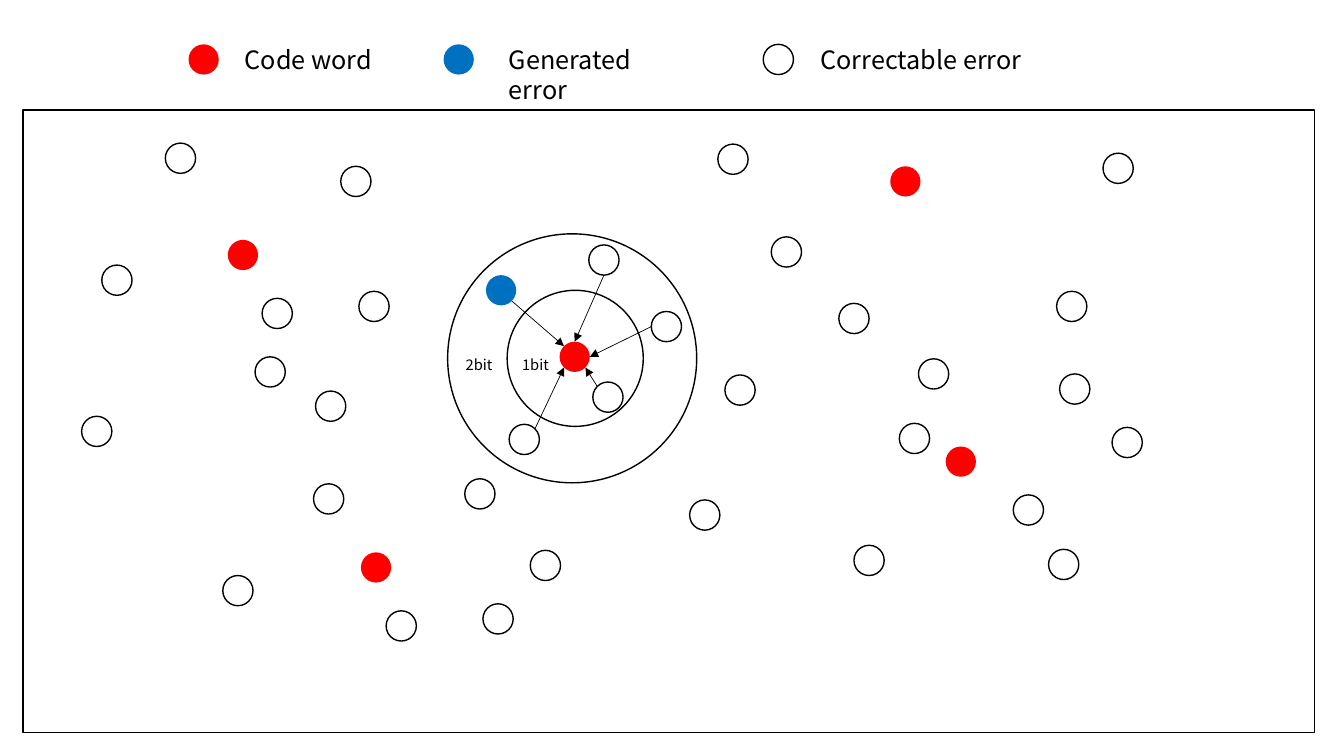
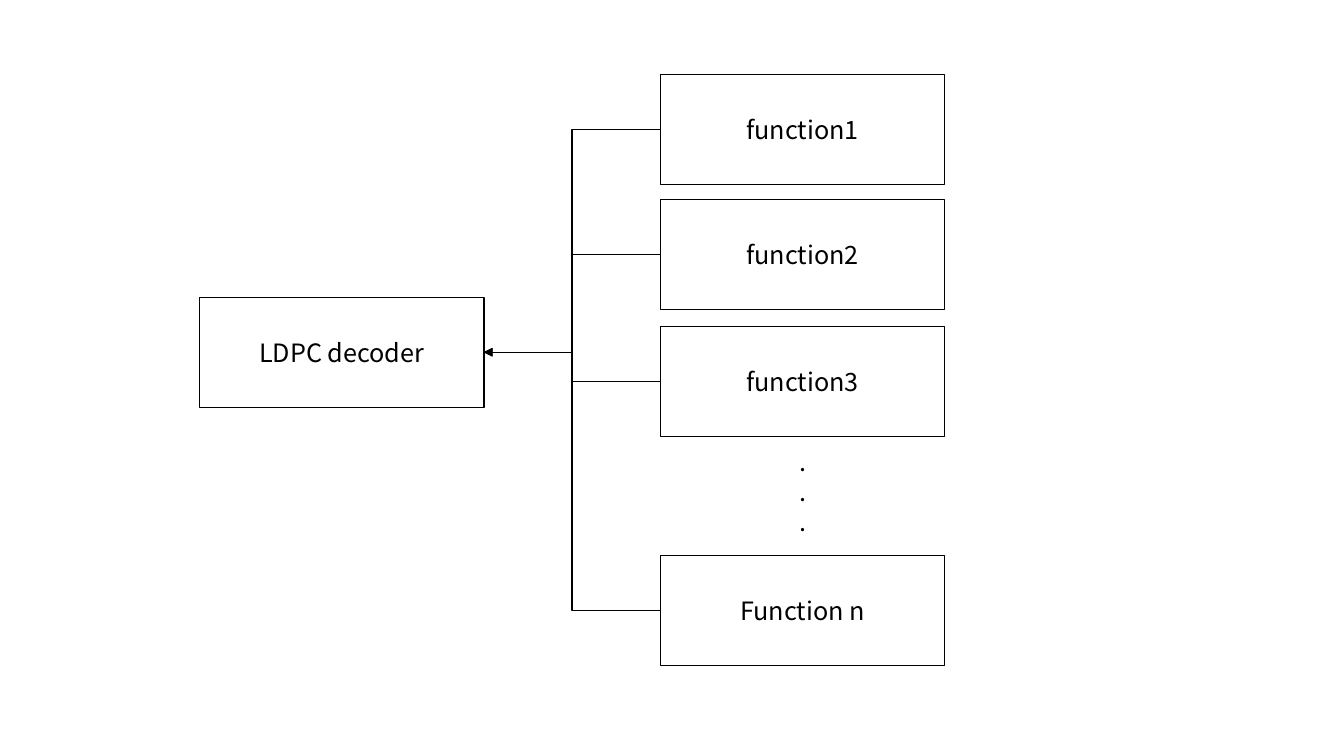
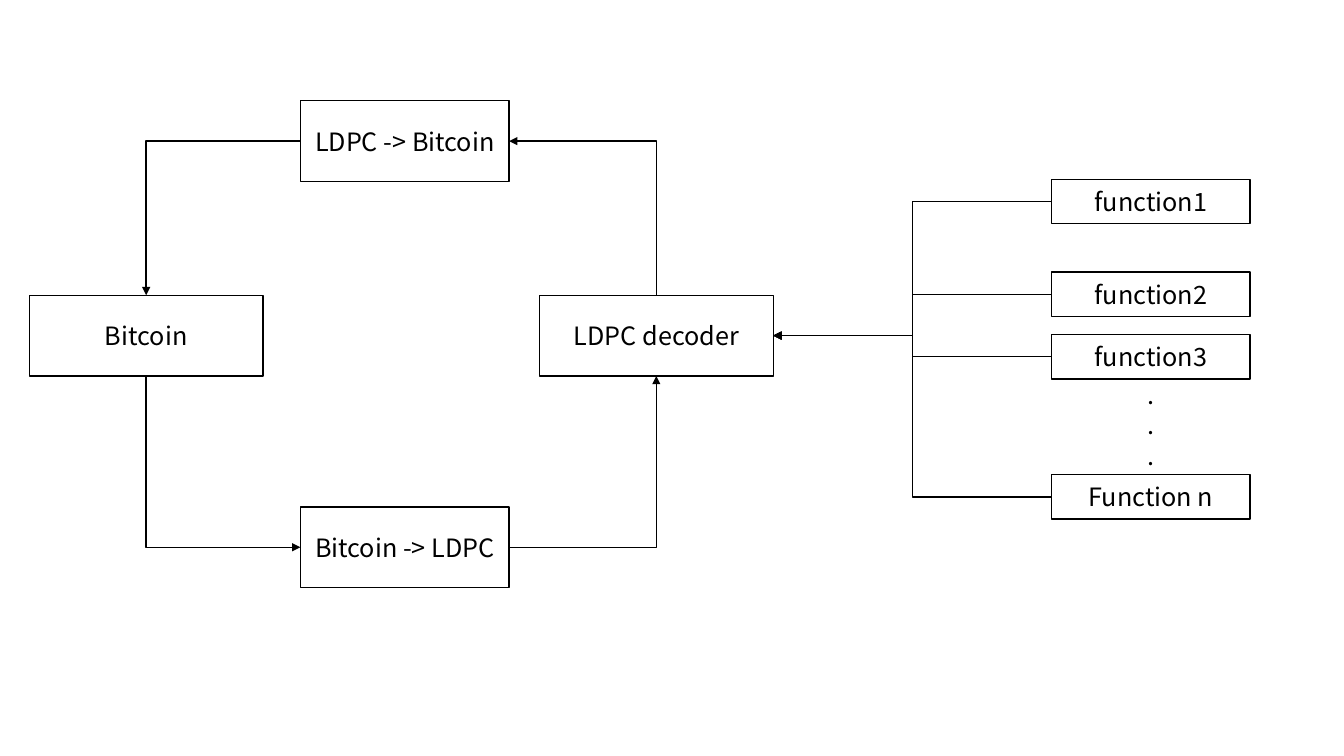
import math

import pptx
import pptx.dml.color
import pptx.enum.shapes
import pptx.enum.text
import pptx.oxml
import pptx.oxml.ns
import pptx.util

Inches = pptx.util.Inches
Pt = pptx.util.Pt
SHAPE = pptx.enum.shapes.MSO_SHAPE
CONNECTOR = pptx.enum.shapes.MSO_CONNECTOR
ALIGN = pptx.enum.text.PP_ALIGN
ANCHOR = pptx.enum.text.MSO_ANCHOR

BLACK = pptx.dml.color.RGBColor(0x00, 0x00, 0x00)
WHITE = pptx.dml.color.RGBColor(0xFF, 0xFF, 0xFF)
RED = pptx.dml.color.RGBColor(0xFF, 0x00, 0x00)
BLUE = pptx.dml.color.RGBColor(0x00, 0x70, 0xC0)
FONT = "Noto Sans CJK KR"
BLANK_LAYOUT = 6
TOP, LEFT, BOTTOM, RIGHT = range(4)

# Slide 1: left and top of each dot
DOT = 0.3
LEGEND = [  # dot left, fill, outline, label, label left, label width
    (1.87, RED, None, "Code word", 2.33, 1.71),
    (4.4, BLUE, None, "Generated error", 4.95, 2.03),
    (7.57, WHITE, BLACK, "Correctable error", 8.04, 2.33),
]
CENTRE_WORD = (5.55, 3.39)
CODE_WORDS = [(2.26, 2.38), CENTRE_WORD, (9.38, 4.43), (3.58, 5.48), (8.83, 1.65)]
GENERATED_ERROR = (4.82, 2.73)
NEAR_TOP, NEAR_RIGHT = (5.84, 2.43), (6.46, 3.09)
NEAR_INNER, NEAR_BOTTOM = (5.88, 3.79), (5.05, 4.21)
CORRECTABLE_ERRORS = [
    (0.81, 4.13), (7.65, 2.35), (3.56, 2.89), (3.38, 1.65), (2.21, 5.71),
    (7.12, 1.43), NEAR_TOP, (7.19, 3.72), (3.13, 3.88), (1.64, 1.42),
    (8.47, 5.41), (1.01, 2.63), (2.6, 2.96), (10.94, 1.52), (5.26, 5.46),
    NEAR_INNER, NEAR_BOTTOM, (8.32, 3.01), NEAR_RIGHT, (10.48, 2.89),
    (2.53, 3.54), (11.03, 4.24), (8.92, 4.2), (10.4, 5.45), (4.79, 5.99),
    (4.61, 4.75), (3.83, 6.06), (3.11, 4.8), (10.05, 4.91), (6.84, 4.96),
    (9.11, 3.56), (10.51, 3.71),
]
RINGS = [(5.03, 2.88, 1.35), (4.44, 2.32, 2.47)]
RING_LABELS = [("1bit", 5.08), ("2bit", 4.52)]
CORRECTIONS = [  # dot, clockwise angle at which its arrow leaves
    (GENERATED_ERROR, 45), (NEAR_BOTTOM, -45), (NEAR_INNER, 225),
    (NEAR_TOP, 90), (NEAR_RIGHT, 180),
]

# Slides 2 and 3
FUNCTIONS = ["function1", "function2", "function3", "Function n"]
LARGE_STACK = dict(left=6.55, width=2.82, height=1.09,
                   tops=[0.74, 1.98, 3.24, 5.51], dots=(4.33, 1.09))
SMALL_STACK = dict(left=10.43, width=1.97, height=0.44,
                   tops=[1.78, 2.7, 3.32, 4.71], dots=(4.14, 0.15))
LOOP_BOXES = {
    "LDPC decoder": (5.35, 2.93, 2.32, 0.8),
    "Bitcoin": (0.29, 2.93, 2.32, 0.8),
    "Bitcoin -> LDPC": (2.98, 5.03, 2.07, 0.8),
    "LDPC -> Bitcoin": (2.98, 1, 2.07, 0.8),
}
LOOP_LINKS = [  # horizontal side, vertical side, arrowhead
    ("Bitcoin -> LDPC", LEFT, "Bitcoin", BOTTOM, "headEnd"),
    ("Bitcoin -> LDPC", RIGHT, "LDPC decoder", BOTTOM, "tailEnd"),
    ("LDPC -> Bitcoin", RIGHT, "LDPC decoder", TOP, "headEnd"),
    ("LDPC -> Bitcoin", LEFT, "Bitcoin", TOP, "tailEnd"),
]


def write(shape, text, *, size=18, align=ALIGN.LEFT, anchor=ANCHOR.TOP):
    frame = shape.text_frame
    frame.word_wrap = True
    frame.vertical_anchor = anchor
    frame.text = text
    for para in frame.paragraphs:
        para.alignment = align
        for span in para.runs:
            span.font.name = FONT
            span.font.size = Pt(size)
            span.font.color.rgb = BLACK


def add_label(page, text, left, top, width, height, **text_format):
    label = page.shapes.add_textbox(*map(Inches, (left, top, width, height)))
    write(label, text, **text_format)


def add_figure(page, kind, left, top, width, height, fill=None, line=BLACK):
    figure = page.shapes.add_shape(kind, *map(Inches, (left, top, width, height)))
    figure.shadow.inherit = False
    if fill is None:
        figure.fill.background()
    else:
        figure.fill.solid()
        figure.fill.fore_color.rgb = fill
    if line is None:
        figure.line.fill.background()
    else:
        figure.line.color.rgb = line
        figure.line.width = Pt(1)
    return figure


def add_box(page, text, *place):
    box = add_figure(page, SHAPE.RECTANGLE, *place)
    write(box, text, align=ALIGN.CENTER, anchor=ANCHOR.MIDDLE)
    return box


def add_dot(page, place, fill, line=None):
    add_figure(page, SHAPE.OVAL, *place, DOT, DOT, fill, line)


def add_arrow(page, kind, start=(0, 0), end=(0, 0), width=1, head="tailEnd"):
    arrow = page.shapes.add_connector(kind, *map(Inches, start + end))
    arrow.line.color.rgb = BLACK
    arrow.line.width = Pt(width)
    outline = arrow.line._get_or_add_ln()
    outline.append(pptx.oxml.parse_xml(
        f'<a:{head} {pptx.oxml.ns.nsdecls("a")} type="triangle"/>'))
    arrow.element.spPr.append(pptx.oxml.parse_xml(
        f'<a:effectLst {pptx.oxml.ns.nsdecls("a")}/>'))
    return arrow


def join(page, first, first_side, second, second_side, head="tailEnd"):
    """Link two boxes with an elbow that leaves the first one horizontally."""
    arrow = add_arrow(page, CONNECTOR.ELBOW, head=head)
    arrow.begin_connect(first, first_side)
    arrow.end_connect(second, second_side)
    if second_side in (TOP, BOTTOM):
        geometry = arrow.element.spPr.find(pptx.oxml.ns.qn("a:prstGeom"))
        geometry.set("prst", "bentConnector2")


def rim_point(dot, angle):
    turn = math.radians(angle)
    return (dot[0] + DOT / 2 * (1 + math.cos(turn)),
            dot[1] + DOT / 2 * (1 + math.sin(turn)))


def add_function_stack(page, decoder, left, width, height, tops, dots):
    boxes = [add_box(page, name, left, top, width, height)
             for name, top in zip(FUNCTIONS, tops)]
    dots_top, dots_height = dots
    add_label(page, ".\n.\n.", left, dots_top, width, dots_height,
              align=ALIGN.CENTER, anchor=ANCHOR.MIDDLE)
    for box in boxes:
        join(page, box, LEFT, decoder, RIGHT)


def build_code_space(page):
    add_figure(page, SHAPE.RECTANGLE, 0.23, 1.09, 12.81, 6.18)
    for dot_left, fill, line, text, left, width in LEGEND:
        add_dot(page, (dot_left, 0.44), fill, line)
        add_label(page, text, left, 0.39, width, 0.4)
    for place in CODE_WORDS:
        add_dot(page, place, RED)
    for place in CORRECTABLE_ERRORS:
        add_dot(page, place, WHITE, BLACK)
    for left, top, diameter in RINGS:
        add_figure(page, SHAPE.OVAL, left, top, diameter, diameter)
    add_dot(page, GENERATED_ERROR, BLUE)
    for dot, angle in CORRECTIONS:
        add_arrow(page, CONNECTOR.STRAIGHT, rim_point(dot, angle),
                  rim_point(CENTRE_WORD, angle + 180), width=0.5)
    for text, left in RING_LABELS:
        add_label(page, text, left, 3.48, 0.59, 0.28, size=10.5)


def build_decoder(page):
    decoder = add_box(page, "LDPC decoder", 1.98, 2.95, 2.82, 1.09)
    add_function_stack(page, decoder, **LARGE_STACK)


def build_loop(page):
    boxes = {name: add_box(page, name, *place)
             for name, place in LOOP_BOXES.items()}
    add_function_stack(page, boxes["LDPC decoder"], **SMALL_STACK)
    for first, first_side, second, second_side, head in LOOP_LINKS:
        join(page, boxes[first], first_side, boxes[second], second_side, head)


def main():
    deck = pptx.Presentation()
    deck.slide_width = Inches(13.33)
    deck.slide_height = Inches(7.5)
    for build in (build_code_space, build_decoder, build_loop):
        build(deck.slides.add_slide(deck.slide_layouts[BLANK_LAYOUT]))
    deck.save("out.pptx")


if __name__ == "__main__":
    main()
